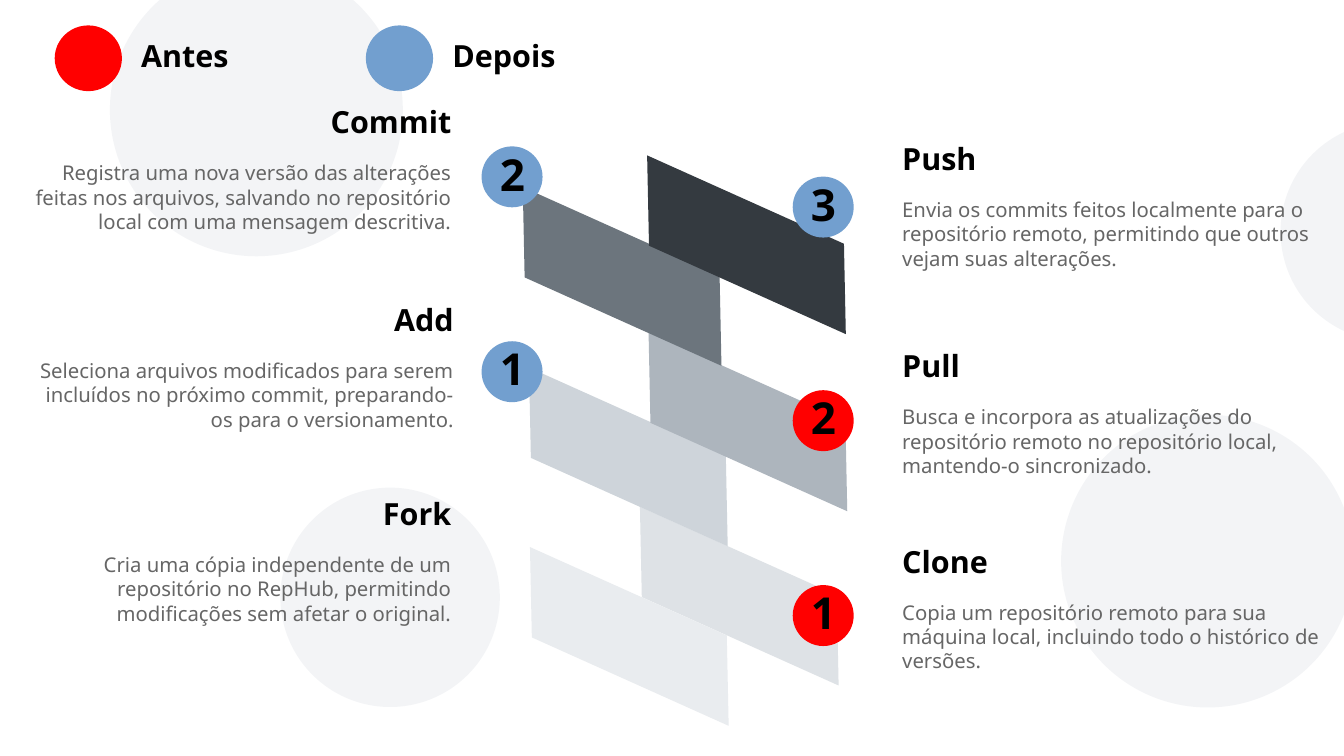
"""Build the slide that compares repository steps before and after the work."""
from dataclasses import dataclass

from lxml.etree import SubElement
from pptx import Presentation
from pptx.dml.color import RGBColor
from pptx.dml.fill import FillFormat
from pptx.enum.lang import MSO_LANGUAGE_ID
from pptx.enum.shapes import MSO_SHAPE
from pptx.enum.text import MSO_AUTO_SIZE, PP_ALIGN
from pptx.oxml.ns import qn
from pptx.shapes.autoshape import Shape
from pptx.util import Cm, Pt

RED, BLUE, BLACK, GREY = "FF0000", "729FCF", "000000", "666666"
BACKDROP = "8D99AE"
BASE_FONT = {"name": "Noto Sans", "language_id": MSO_LANGUAGE_ID.BRAZILIAN_PORTUGUESE}
HEADING = BASE_FONT | {"size": Pt(18), "bold": True}
NUMBER = BASE_FONT | {"size": Pt(26), "bold": True}
BODY = BASE_FONT | {"size": Pt(12)}
BODY_SPACING = {"space_before": Pt(11.9), "space_after": Pt(9.9)}
BODY_WIDTH, BODY_HEIGHT, BODY_OFFSET = 9.4, 2.08, 1.19
HEADING_WIDTH, HEADING_HEIGHT = 5.59, 1.12
BADGE_SIZE = 1.27
LEFT_BADGE, RIGHT_BADGE, RIGHT_COLUMN = 10.03, 16.51, 18.54


@dataclass
class Circle:
    left: float
    top: float
    size: float


@dataclass
class Band:
    left: float
    top: float
    color: str


@dataclass
class Topic:
    title: str
    body: str
    left: float
    top: float
    align: PP_ALIGN = PP_ALIGN.LEFT


@dataclass
class Badge:
    number: str
    left: float
    top: float
    color: str


@dataclass
class LegendKey:
    label: str
    left: float
    color: str


CIRCLES = [
    Circle(5.84, 10.16, 4.57),
    Circle(2.29, -0.76, 6.1),
    Circle(22.1, 8.64, 6.1),
    Circle(26.67, 2.54, 4.57),
]
BANDS = [
    Band(13.49, 10.39, "DEE2E6"),
    Band(11.18, 7.49, "CED4DA"),
    Band(13.67, 6.76, "ADB5BD"),
    Band(11.05, 3.73, "6C757D"),
    Band(13.64, 3.07, "343A40"),
    Band(11.2, 11.23, "E9ECEF"),
]
TOPICS = [
    Topic("Commit", "Registra uma nova versão das alterações feitas nos arquivos, "
          "salvando no repositório local com uma mensagem descritiva.",
          0.25, 2.03, PP_ALIGN.RIGHT),
    Topic("Add", "Seleciona arquivos modificados para serem incluídos no próximo "
          "commit, preparando-os para o versionamento.",
          0.3, 6.15, PP_ALIGN.RIGHT),
    Topic("Fork", "Cria uma cópia independente de um repositório no RepHub, "
          "permitindo modificações sem afetar o original.",
          0.25, 10.19, PP_ALIGN.RIGHT),
    Topic("Clone", "Copia um repositório remoto para sua máquina local, incluindo "
          "todo o histórico de versões.", RIGHT_COLUMN, 11.18),
    Topic("Pull", "Busca e incorpora as atualizações do repositório remoto no "
          "repositório local, mantendo-o sincronizado.", RIGHT_COLUMN, 7.11),
    Topic("Push", "Envia os commits feitos localmente para o repositório remoto, "
          "permitindo que outros vejam suas alterações.", RIGHT_COLUMN, 2.79),
]
BADGES = [
    Badge("1", LEFT_BADGE, 7.11, BLUE),
    Badge("2", LEFT_BADGE, 3.05, BLUE),
    Badge("3", RIGHT_BADGE, 3.68, BLUE),
    Badge("2", RIGHT_BADGE, 8.13, RED),
    Badge("1", RIGHT_BADGE, 12.19, RED),
]
LEGEND = [LegendKey("Antes", 1.14, RED), LegendKey("Depois", 7.62, BLUE)]


def set_color(fill: FillFormat, color: str) -> None:
    """Make a fill solid in a hex colour."""
    fill.solid()
    fill.fore_color.rgb = RGBColor.from_string(color)


def set_attributes(target: object, values: dict) -> None:
    """Set each named format value on the target."""
    for name, value in values.items():
        setattr(target, name, value)


def add_figure(shapes, kind: MSO_SHAPE, left: float, top: float,
               width: float, height: float, color: str) -> Shape:
    """Draw a plain filled shape without outline or shadow."""
    figure = shapes.add_shape(kind, Cm(left), Cm(top), Cm(width), Cm(height))
    figure.shadow.inherit = False
    figure.line.fill.background()
    set_color(figure.fill, color)
    return figure


def add_text(shapes, text: str, left: float, top: float, width: float, height: float,
             font: dict, color: str = BLACK, align: PP_ALIGN = PP_ALIGN.LEFT,
             spacing: dict | None = None, wrap: bool = True) -> None:
    """Add a text box with one paragraph."""
    box = shapes.add_textbox(Cm(left), Cm(top), Cm(width), Cm(height))
    box.text_frame.word_wrap = wrap
    box.text_frame.auto_size = MSO_AUTO_SIZE.SHAPE_TO_FIT_TEXT
    para = box.text_frame.paragraphs[0]
    set_attributes(para, {"alignment": align} | (spacing or {}))
    span = para.add_run()
    span.text = text
    set_attributes(span.font, font)
    set_color(span.font.fill, color)


def add_backdrop(shapes, circle: Circle) -> None:
    """Draw a faint background circle."""
    figure = add_figure(shapes, MSO_SHAPE.OVAL, circle.left, circle.top,
                        circle.size, circle.size, BACKDROP)
    tint = figure.fill._xPr.find(qn("a:solidFill"))[0]
    SubElement(tint, qn("a:alpha"), val="10000")


def add_band(shapes, band: Band) -> None:
    """Draw one slanted band of the staircase."""
    figure = add_figure(shapes, MSO_SHAPE.PARALLELOGRAM, band.left, band.top,
                        3.81, 4.06, band.color)
    figure.adjustments[0] = 0.506
    figure.rotation = 88.8


def add_topic(shapes, topic: Topic) -> None:
    """Write a topic's description and its heading."""
    add_text(shapes, topic.body, topic.left, topic.top + BODY_OFFSET, BODY_WIDTH,
             BODY_HEIGHT, BODY, GREY, topic.align, BODY_SPACING)
    indent = BODY_WIDTH - HEADING_WIDTH if topic.align == PP_ALIGN.RIGHT else 0
    add_text(shapes, topic.title, topic.left + indent, topic.top, HEADING_WIDTH,
             HEADING_HEIGHT, HEADING, align=topic.align)


def add_badge(shapes, badge: Badge) -> None:
    """Draw a numbered circle as a group."""
    members = shapes.add_group_shape().shapes
    add_figure(members, MSO_SHAPE.OVAL, badge.left, badge.top,
               BADGE_SIZE, BADGE_SIZE, badge.color)
    add_text(members, badge.number, badge.left + 0.13, badge.top - 0.11, 1.02, 1.5,
             NUMBER, align=PP_ALIGN.CENTER, wrap=False)


def add_legend_key(shapes, key: LegendKey) -> None:
    """Draw a legend circle and its label."""
    add_figure(shapes, MSO_SHAPE.OVAL, key.left, 0.53, 1.4, 1.37, key.color)
    add_text(shapes, key.label, key.left + 1.55, 0.64, 3.02, HEADING_HEIGHT, HEADING)


def main() -> None:
    """Build and save the deck."""
    deck = Presentation()
    set_attributes(deck, {"slide_width": Cm(27.99), "slide_height": Cm(15.75)})
    page = deck.slides.add_slide(deck.slide_layouts[6])
    set_color(page.background.fill, "FFFFFF")
    for circle in CIRCLES:
        add_backdrop(page.shapes, circle)
    staircase = page.shapes.add_group_shape().shapes
    for band in BANDS:
        add_band(staircase, band)
    for topic in TOPICS:
        add_topic(page.shapes, topic)
    for badge in BADGES:
        add_badge(page.shapes, badge)
    for key in LEGEND:
        add_legend_key(page.shapes, key)
    deck.save("out.pptx")


if __name__ == "__main__":
    main()
